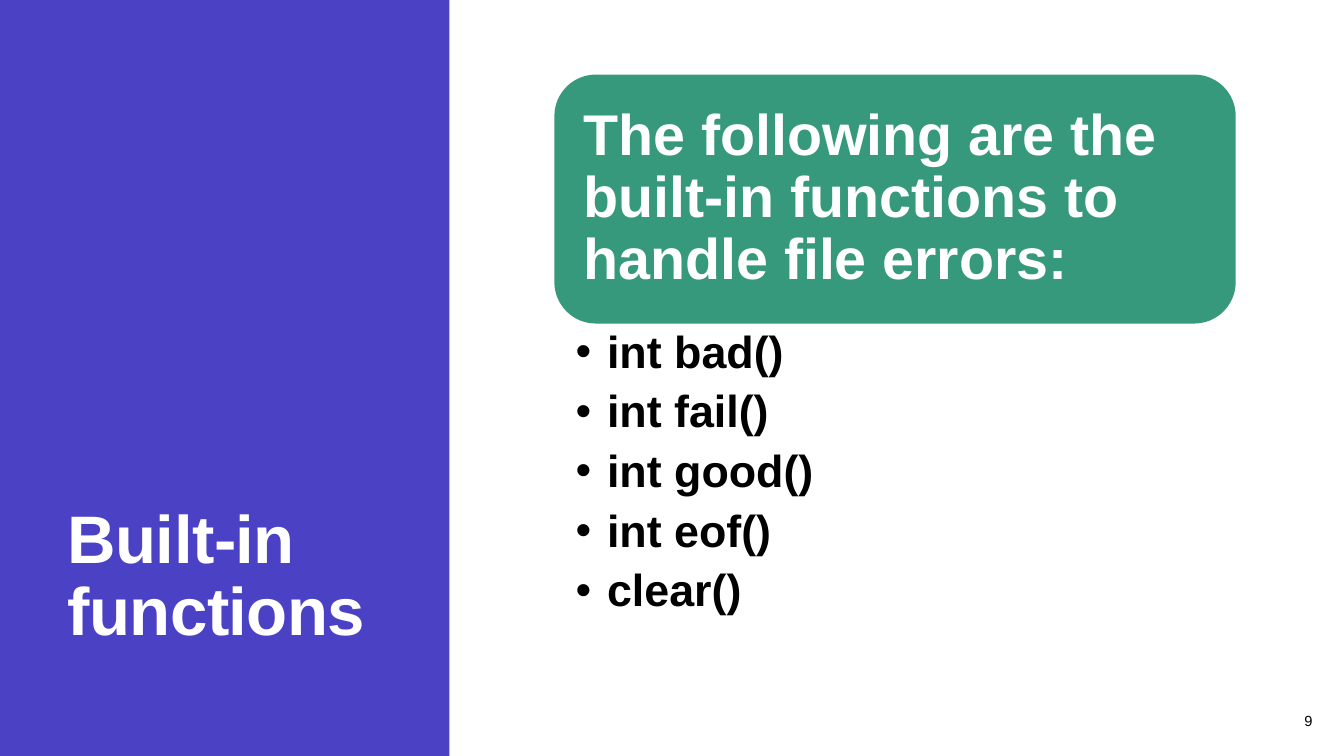
from dataclasses import dataclass

from pptx import Presentation
from pptx.dml.color import RGBColor as Rgb
from pptx.enum.shapes import MSO_SHAPE as Kind
from pptx.enum.text import MSO_ANCHOR as Anchor, MSO_AUTO_SIZE as Fit, PP_ALIGN as Align
from pptx.shapes.autoshape import Shape
from pptx.slide import Slide
from pptx.util import Pt

HUES = {"panel": "4A41C5", "card": "37997B", "light": "FFFFFF", "dark": "000000"}
CALLS = ["int bad()", "int fail()", "int good()", "int eof()", "clear()"]


@dataclass(frozen=True)
class Box:
    left: float
    top: float
    width: float
    height: float


@dataclass(frozen=True)
class Style:
    size: float
    hue: str
    bold: bool = True
    align: Align = Align.LEFT
    anchor: Anchor = Anchor.TOP
    pad: tuple[float, float, float, float] = (7.2, 3.6, 7.2, 3.6)
    lead: float = 0.9
    after: float = 0


PANEL = Box(0, 0, 321.12, 540)
TITLE = Box(41.04, 36.72, 248.4, 431.28)
CARD = Box(396, 53.28, 486.72, 177.84)
LIST = Box(396, 231.12, 486.72, 220.32)
PAGE = Box(894.96, 500.4, 49.68, 28.8)


def place(shape: Shape, box: Box) -> None:
    shape.left, shape.top = Pt(box.left), Pt(box.top)
    shape.width, shape.height = Pt(box.width), Pt(box.height)


def write(shape: Shape, lines: list[str], style: Style) -> None:
    frame = shape.text_frame
    frame.text = "\n".join(lines)
    frame.word_wrap = True
    frame.auto_size = Fit.NONE
    frame.vertical_anchor = style.anchor
    left, top, right, bottom = style.pad
    frame.margin_left, frame.margin_top = Pt(left), Pt(top)
    frame.margin_right, frame.margin_bottom = Pt(right), Pt(bottom)
    for para in frame.paragraphs:
        para.alignment = style.align
        para.line_spacing = style.lead
        para.space_before = Pt(0)
        para.space_after = Pt(style.after)
        font = para.font
        font.name, font.size, font.bold = "Arial", Pt(style.size), style.bold
        font.color.rgb = Rgb.from_string(HUES[style.hue])


def block(slide: Slide, kind: Kind, box: Box, hue: str) -> Shape:
    shape = slide.shapes.add_shape(kind, 0, 0, 0, 0)
    place(shape, box)
    shape.shadow.inherit = False
    shape.fill.solid()
    shape.fill.fore_color.rgb = Rgb.from_string(HUES[hue])
    shape.line.fill.background()
    return shape


def main() -> None:
    deck = Presentation()
    deck.slide_width, deck.slide_height = Pt(960), Pt(540)
    slide = deck.slides.add_slide(deck.slide_layouts[1])

    panel = block(slide, Kind.RECTANGLE, PANEL, "panel")
    slide.shapes._spTree.insert(2, panel._element)

    title = slide.shapes.title
    place(title, TITLE)
    write(title, ["Built-in functions"], Style(48, "light", anchor=Anchor.BOTTOM))
    title.text_frame.paragraphs[0].font._rPr.set("spc", "-40")

    card = block(slide, Kind.ROUNDED_RECTANGLE, CARD, "card")
    write(card, ["The following are the built-in functions to handle file errors:"],
          Style(41, "light", anchor=Anchor.MIDDLE, pad=(12, 12, 12, 12)))

    body = slide.placeholders[1]
    place(body, LIST)
    write(body, CALLS, Style(32, "dark", pad=(15.1, 4.3, 23, 4.3), after=8))
    for para in body.text_frame.paragraphs:
        props = para._p.get_or_add_pPr()
        props.set("marL", str(Pt(22.5)))
        props.set("indent", str(-Pt(22.5)))

    page = slide.shapes.add_textbox(0, 0, 0, 0)
    place(page, PAGE)
    write(page, ["9"], Style(10.5, "dark", bold=False, align=Align.RIGHT,
                             anchor=Anchor.MIDDLE, lead=1, after=6))
    deck.save("out.pptx")


if __name__ == "__main__":
    main()
